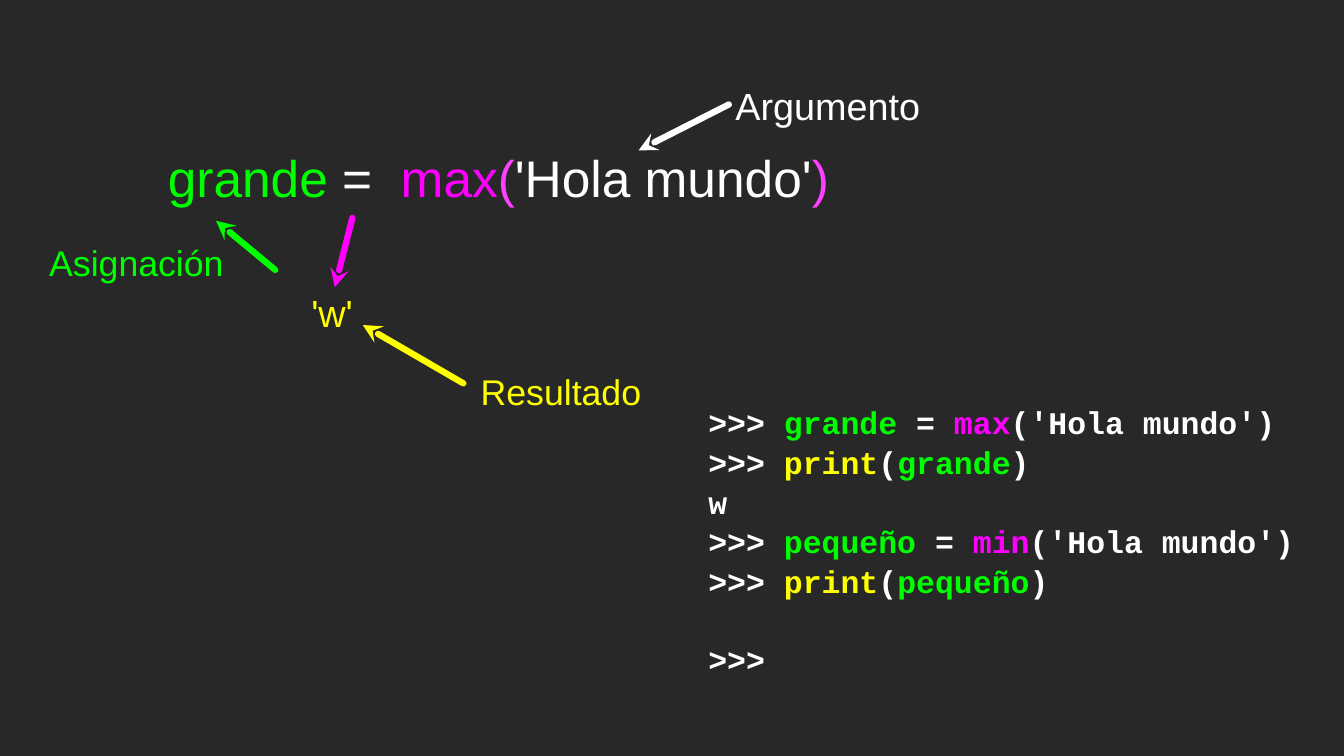
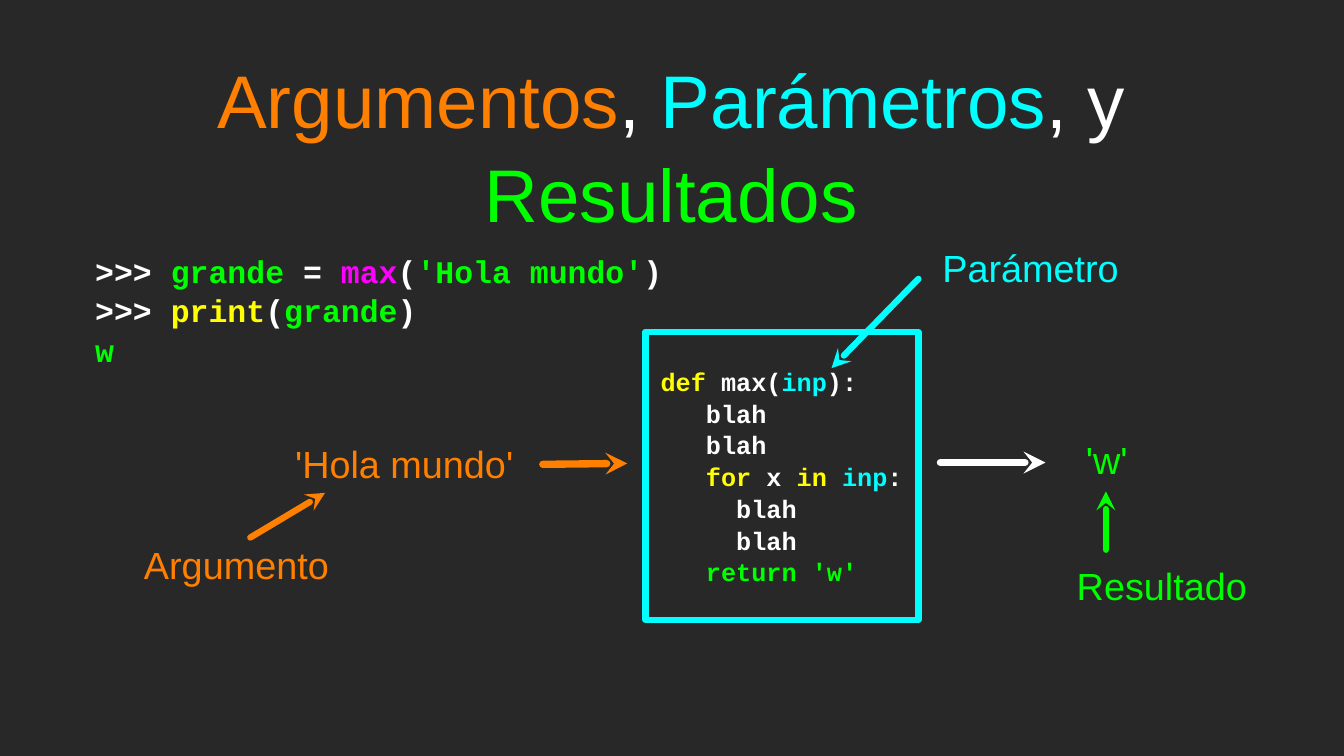
from lxml import etree
from pptx import Presentation
from pptx.dml.color import RGBColor
from pptx.enum.shapes import MSO_CONNECTOR, MSO_SHAPE
from pptx.enum.text import MSO_ANCHOR, MSO_AUTO_SIZE, PP_ALIGN
from pptx.oxml.ns import qn
from pptx.util import Cm, Pt

STRAIGHT, RECTANGLE = MSO_CONNECTOR.STRAIGHT, MSO_SHAPE.RECTANGLE
LEFT, CENTER = PP_ALIGN.LEFT, PP_ALIGN.CENTER
MIDDLE, NO_AUTOFIT = MSO_ANCHOR.MIDDLE, MSO_AUTO_SIZE.NONE
TITLE_ONLY, BLANK = 5, 6

# Shared look
DARK, WHITE, GREEN, YELLOW = "282828", "FFFFFF", "00FF00", "FFFF00"
MAGENTA, PINK, ORANGE, CYAN = "FF00FF", "FF40FF", "FF7F00", "00FFFF"
SANS, MONO = "Arial", "Courier New"
CONSOLE = {"name": MONO, "size": Pt(30), "bold": True}
LISTING = {"name": MONO, "size": Pt(24), "bold": True}
TITLE = {"name": SANS, "size": Pt(71)}
EXPRESSION = {"name": SANS, "size": Pt(49)}
LINE_SPACING = 1.05
MONO_WIDTH = 0.6  # character width as a share of the font size
LABEL_HEIGHT = 1.73
PROMPT = (">>> ", WHITE)


def print_call(variable):
    return [PROMPT, ("print", YELLOW), ("(", WHITE), (variable, GREEN), (")", WHITE)]


# Content: positions in centimetres, labels as text, colour, size, left, top, width, alignment
MAX_EXPRESSION = [[("grande", GREEN), (" =  ", WHITE), ("max", MAGENTA), ("(", PINK),
                   ("'Hola mundo'", WHITE), (")", PINK)]]
MAX_MIN_SESSION = [
    [PROMPT, ("grande ", GREEN), ("= ", WHITE), ("max", MAGENTA), ("('Hola mundo')", WHITE)],
    print_call("grande"),
    [("w", WHITE)],
    [PROMPT, ("pequeño", GREEN), (" = ", WHITE), ("min", MAGENTA), ("('Hola mundo')", WHITE)],
    print_call("pequeño"),
    [(">>>", WHITE)],
]
CALL_LABELS = [
    ("Argumento", WHITE, 36, 24.49, 2.64, 6.65, CENTER),
    ("'w'", YELLOW, 36, 10.46, 9.6, 1.7, LEFT),
    ("Resultado", YELLOW, 34, 15.98, 12.24, 5.74, CENTER),
    ("Asignación", GREEN, 34, 0.94, 7.92, 7.29, CENTER),
]
# Arrows: tip, tail, colour, line width
CALL_ARROWS = [
    ((21.46, 5.05), (24.49, 3.51), WHITE, 6),
    ((12.19, 10.92), (15.57, 12.88), YELLOW, 6),
    ((7.26, 7.42), (9.25, 9.07), GREEN, 6),
    ((11.25, 9.65), (11.84, 7.32), MAGENTA, 6),
]

FLOW_TITLE = [[("Argumentos", ORANGE), (", ", WHITE), ("Parámetros", CYAN),
               (", y ", WHITE), ("Resultados", GREEN)]]
MAX_SESSION = [
    [PROMPT, ("grande ", GREEN), ("= ", WHITE), ("max", MAGENTA), ("(", WHITE),
     ("'Hola mundo'", GREEN), (")", WHITE)],
    print_call("grande"),
    [("w", GREEN)],
]
BLAH = [("blah", WHITE)]
MAX_FUNCTION = [
    [("def", YELLOW), (" max(", WHITE), ("inp", CYAN), ("):", WHITE)],
    BLAH,
    BLAH,
    [("for", YELLOW), (" x ", WHITE), ("in ", YELLOW), ("inp", CYAN), (":", WHITE)],
    BLAH,
    BLAH,
    [("return 'w'", GREEN)],
]
FUNCTION_INDENTS = [1, 4, 4, 4, 6, 6, 4]  # in characters
FLOW_LABELS = [
    ("'Hola mundo' ", ORANGE, 36, 9.8, 14.68, 7.92, CENTER),
    ("'w'", GREEN, 36, 36.3, 14.53, 1.78, CENTER),
    ("Argumento", ORANGE, 36, 4.72, 18.06, 6.45, CENTER),
    ("Parámetro", CYAN, 36, 31.19, 8.08, 6.88, CENTER),
    ("Resultado", GREEN, 36, 36.17, 18.75, 5.74, CENTER),
]
FLOW_ARROWS = [
    ((21.08, 15.57), (18.24, 15.6), ORANGE, 7),
    ((35.13, 15.54), (31.6, 15.54), WHITE, 7),
    ((10.92, 16.56), (8.41, 18.06), ORANGE, 6),
    ((27.94, 12.37), (30.86, 9.37), CYAN, 6),
    ((37.16, 16.51), (37.16, 18.47), GREEN, 6),
]


def paint(color_format, color):
    color_format.rgb = RGBColor.from_string(color)


def write(box, lines, font, align=LEFT, inset=0.0, indents=()):
    """Fill a shape with lines of (text, colour) spans."""
    frame = box.text_frame
    settings = {"word_wrap": True, "auto_size": NO_AUTOFIT, "vertical_anchor": MIDDLE}
    for side in ("left", "top", "right", "bottom"):
        settings["margin_" + side] = Cm(inset)
    for key, value in settings.items():
        setattr(frame, key, value)
    for number, line in enumerate(lines):
        para = frame.add_paragraph() if number else frame.paragraphs[0]
        para.alignment, para.line_spacing = align, LINE_SPACING
        if indents:
            properties = para._p.get_or_add_pPr()
            properties.set("marL", str(int(indents[number] * MONO_WIDTH * font["size"])))
            properties.set("indent", "0")
        for text, color in line:
            span = para.add_run()
            span.text = text
            for key, value in font.items():
                setattr(span.font, key, value)
            paint(span.font.color, color)


def add_text(page, area, lines, font, align=LEFT):
    box = page.shapes.add_textbox(*map(Cm, area))
    write(box, lines, font, align)
    return box


def add_labels(page, labels):
    for text, color, size, left, top, width, align in labels:
        add_text(page, (left, top, width, LABEL_HEIGHT), [[(text, color)]],
                 {"name": SANS, "size": Pt(size)}, align)


def add_arrows(page, arrows):
    for tip, tail, color, width in arrows:
        arrow = page.shapes.add_connector(STRAIGHT, *map(Cm, tip + tail))
        paint_line(arrow.line, color, width)
        outline = arrow.line._get_or_add_ln()
        outline.set("cap", "rnd")
        etree.SubElement(outline, qn("a:round"))
        etree.SubElement(outline, qn("a:headEnd"), type="stealth")
        etree.SubElement(arrow._element.spPr, qn("a:effectLst"))


def paint_line(line, color, width):
    line.fill.solid()
    paint(line.fill.fore_color, color)
    line.width = Pt(width)


def build_call_page(deck):
    page = deck.slides.add_slide(deck.slide_layouts[BLANK])
    session = add_text(page, (23.8, 13.54, 20.88, 9.17), MAX_MIN_SESSION, CONSOLE)
    # The last prompt stands one line apart
    session.text_frame.paragraphs[-1].space_before = Pt(36)
    add_text(page, (5.64, 4.78, 25.5, 2.26), MAX_EXPRESSION, EXPRESSION)
    add_labels(page, CALL_LABELS)
    add_arrows(page, CALL_ARROWS)


def build_flow_page(deck):
    page = deck.slides.add_slide(deck.slide_layouts[TITLE_ONLY])
    title = page.shapes.title
    area = {"left": 3.2, "top": 2.41, "width": 38.71, "height": 4.83}
    for key, value in area.items():
        setattr(title, key, Cm(value))
    write(title, FLOW_TITLE, TITLE, CENTER, inset=0.1)
    add_text(page, (3.2, 8.08, 20.98, 4.62), MAX_SESSION, CONSOLE)

    # Function body
    function_box = page.shapes.add_shape(RECTANGLE, *map(Cm, (21.69, 11.15, 9.17, 9.68)))
    function_box.shadow.inherit = False
    function_box.fill.background()
    paint_line(function_box.line, CYAN, 6)
    write(function_box, MAX_FUNCTION, LISTING, indents=FUNCTION_INDENTS)

    add_labels(page, FLOW_LABELS)
    add_arrows(page, FLOW_ARROWS)


def main():
    deck = Presentation()
    deck.slide_width, deck.slide_height = Cm(45.16), Cm(25.4)
    backdrop = deck.slide_master.background.fill
    backdrop.solid()
    paint(backdrop.fore_color, DARK)
    build_call_page(deck)
    build_flow_page(deck)
    deck.save("out.pptx")


if __name__ == "__main__":
    main()
